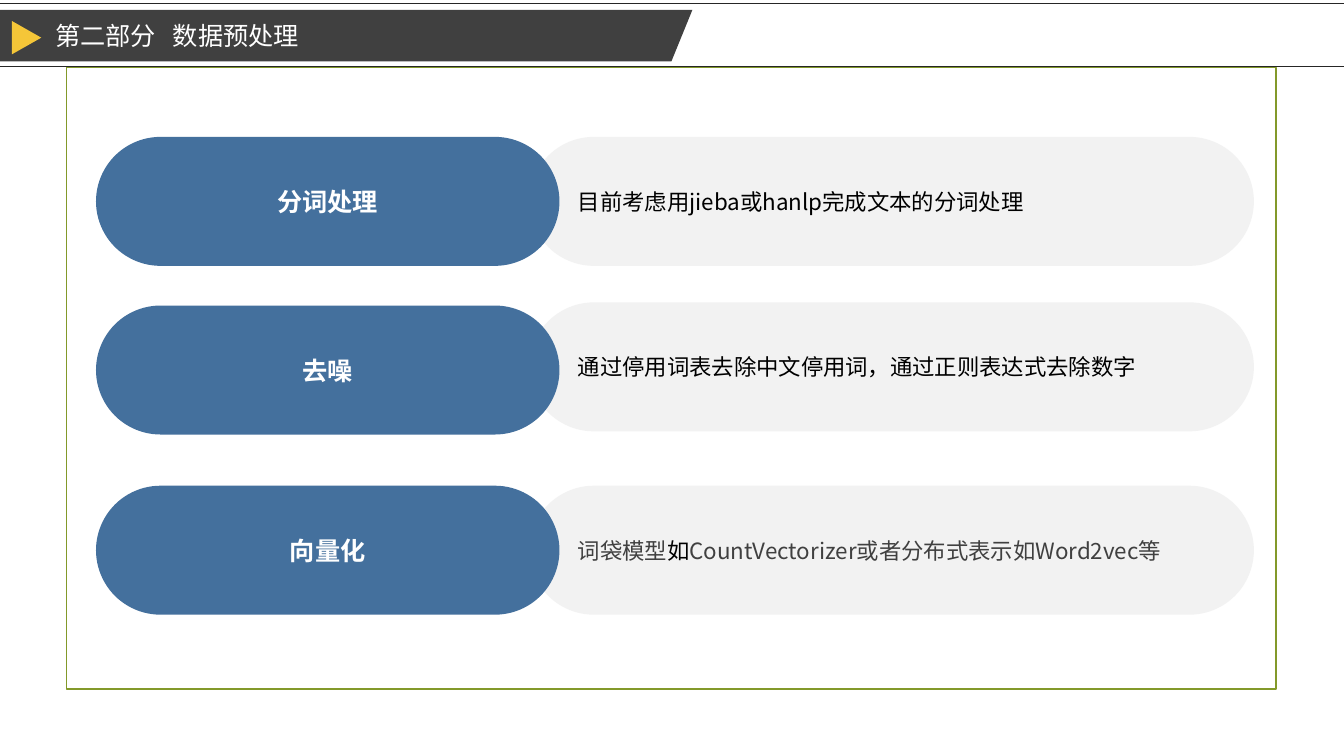
from lxml.etree import SubElement
from pptx import Presentation
from pptx.dml.color import RGBColor
from pptx.enum.shapes import MSO_CONNECTOR, MSO_SHAPE
from pptx.enum.text import MSO_ANCHOR, PP_ALIGN
from pptx.oxml.ns import qn
from pptx.util import Cm, Pt

COLOURS = {
    "frame": "83992A",
    "rule": "262626",
    "banner": "404040",
    "marker": "F5C638",
    "label": "44709D",
    "panel": "E6E6E6",
    "white": "FFFFFF",
    "black": "000000",
    "grey": "404040",
}
CJK_FONT = "Noto Sans CJK SC"
SLIDE_WIDTH = 33.87
PILL_HEIGHT = 3.25

# Label, label top, panel top, runs of the description with their colours
STEPS = [
    ("分词处理", 3.45, 3.45, [("目前考虑用jieba或hanlp完成文本的分词处理", "black")]),
    ("去噪", 7.7, 7.62, [("通过停用词表去除中文停用词，通过正则表达式去除数字", "black")]),
    ("向量化", 12.24, 12.24, [
        ("词袋模型", "grey"),
        ("如", "black"),
        ("CountVectorizer或者分布式表示如Word2vec等", "grey"),
    ]),
]


def rgb(name):
    return RGBColor.from_string(COLOURS[name])


def paint(shape, fill=None, line=None):
    shape.shadow.inherit = False
    if fill:
        shape.fill.solid()
        shape.fill.fore_color.rgb = rgb(fill)
    else:
        shape.fill.background()
    if line:
        shape.line.color.rgb = rgb(line)
        shape.line.width = Pt(1.25)
    else:
        shape.line.fill.background()


def add_box(slide, kind, left, top, width, height, fill=None, line=None):
    shape = slide.shapes.add_shape(kind, Cm(left), Cm(top), Cm(width), Cm(height))
    paint(shape, fill, line)
    return shape


def add_run(paragraph, text, size, colour, font, bold=False):
    run = paragraph.add_run()
    run.text = text
    run.font.size = Pt(size)
    run.font.bold = bold
    run.font.color.rgb = rgb(colour)
    run.font.name = font
    SubElement(run.font._element, qn("a:ea"), typeface=CJK_FONT)


def add_rule(slide, top):
    rule = slide.shapes.add_connector(
        MSO_CONNECTOR.STRAIGHT, 0, Cm(top), Cm(SLIDE_WIDTH), Cm(top))
    rule.line.color.rgb = rgb("rule")
    rule.line.width = Pt(0.75)
    SubElement(rule._element.spPr, qn("a:effectLst"))


def add_banner(slide):
    top, bottom = Cm(0.25), Cm(1.55)
    builder = slide.shapes.build_freeform(0, top)
    builder.add_line_segments(
        [(Cm(17.45), top), (Cm(16.92), bottom), (0, bottom)], close=True)
    paint(builder.convert_to_shape(), "banner")


def add_title(slide, part, topic):
    """Write part and topic on one line, the topic at a tab stop."""
    box = slide.shapes.add_textbox(Cm(1.14), Cm(0.38), Cm(9), Cm(1.02))
    box.text_frame.word_wrap = True
    paragraph = box.text_frame.paragraphs[0]
    tabs = SubElement(paragraph._p.get_or_add_pPr(), qn("a:tabLst"))
    SubElement(tabs, qn("a:tab"), pos=str(Cm(2.97)), algn="l")
    add_run(paragraph, f"{part}\t{topic}", 18, "white", "Arial")


def add_pill(slide, left, top, width, fill):
    pill = add_box(slide, MSO_SHAPE.ROUNDED_RECTANGLE, left, top, width, PILL_HEIGHT, fill)
    pill.adjustments[0] = 0.5
    pill.text_frame.word_wrap = True
    pill.text_frame.vertical_anchor = MSO_ANCHOR.MIDDLE
    return pill


def add_panel(slide, top, runs):
    panel = add_pill(slide, 13.34, top, 18.26, "panel")
    colour = panel._element.spPr.find(qn("a:solidFill"))[0]
    SubElement(colour, qn("a:alpha"), val="50000")
    paragraph = panel.text_frame.paragraphs[0]
    paragraph.alignment = PP_ALIGN.LEFT
    paragraph._p.get_or_add_pPr().set("marL", str(Cm(0.5)))
    for text, text_colour in runs:
        add_run(paragraph, text, 16, text_colour, CJK_FONT)


def add_label(slide, top, text):
    label = add_pill(slide, 2.42, top, 11.68, "label")
    paragraph = label.text_frame.paragraphs[0]
    paragraph.alignment = PP_ALIGN.CENTER
    add_run(paragraph, text, 18, "white", "Arial", bold=True)


def main():
    presentation = Presentation()
    presentation.slide_width = Cm(SLIDE_WIDTH)
    presentation.slide_height = Cm(19.05)
    slide = presentation.slides.add_slide(presentation.slide_layouts[6])

    add_box(slide, MSO_SHAPE.RECTANGLE, 1.68, 1.7, 30.48, 15.67, line="frame")
    for top in (0.1, 1.68):
        add_rule(slide, top)
    add_banner(slide)
    add_title(slide, "第二部分", "数据预处理")
    marker = add_box(slide, MSO_SHAPE.ISOSCELES_TRIANGLE, 0.25, 0.58, 0.84, 0.74, "marker")
    marker.rotation = 90

    for label, label_top, panel_top, runs in STEPS:
        add_panel(slide, panel_top, runs)
        add_label(slide, label_top, label)

    presentation.save("out.pptx")


if __name__ == "__main__":
    main()
